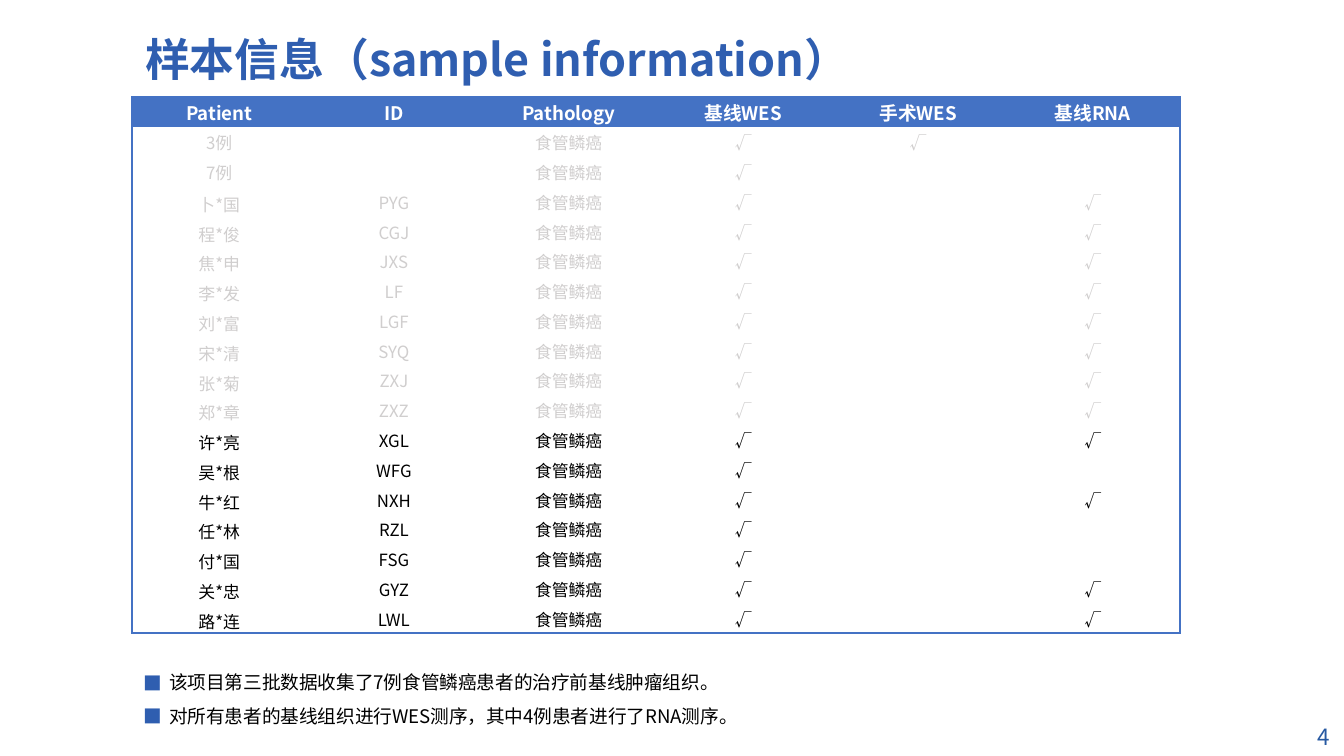
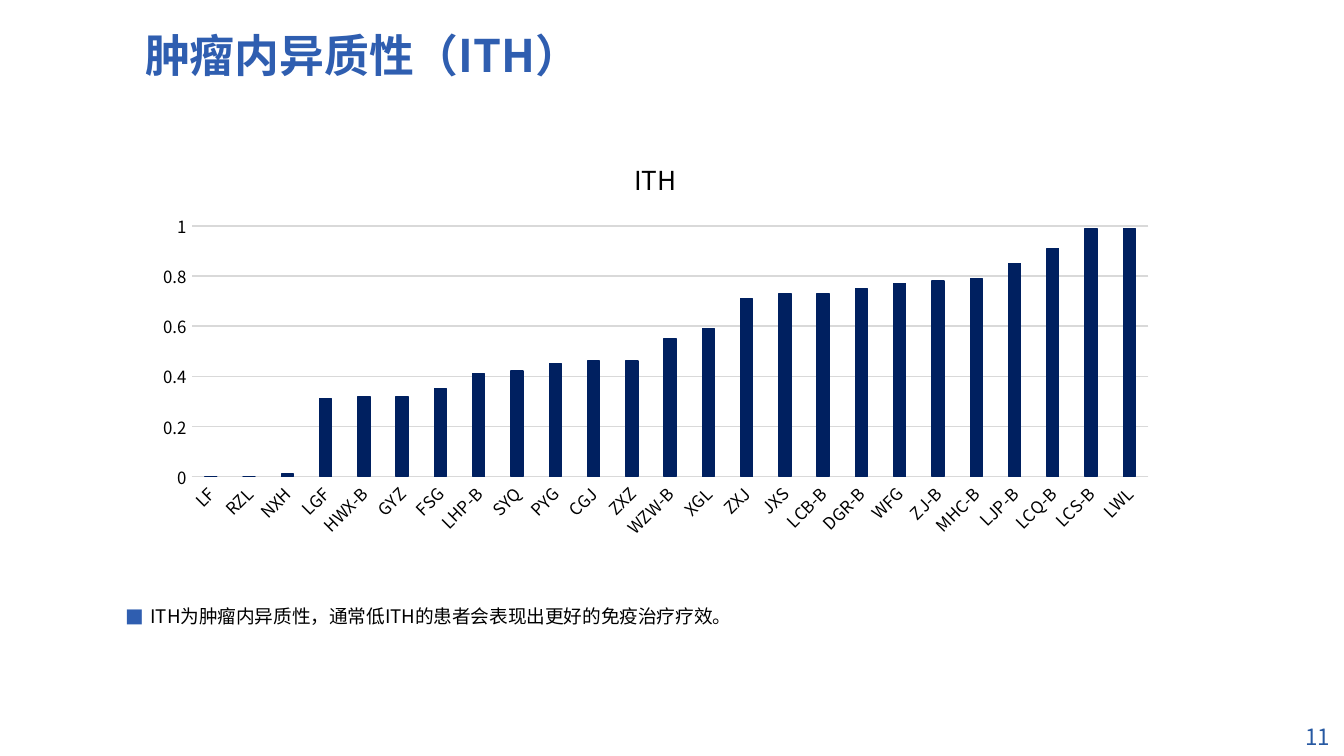
from lxml.etree import SubElement
from pptx import Presentation
from pptx.chart.data import CategoryChartData
from pptx.dml.color import RGBColor
from pptx.enum.chart import XL_CHART_TYPE as CT, XL_TICK_MARK as TM
from pptx.enum.text import MSO_ANCHOR as MA, PP_ALIGN as PA
from pptx.oxml.ns import qn
from pptx.util import Pt

FONT = "Noto Sans CJK SC"
TITLE, NUMBER, HEADER = "2F5EB0", "2759A2", "4472C4"
BLACK, WHITE, FADED = "000000", "FFFFFF", "D0CECE"
GRID, BAR = "D9D9D9", "002060"
NO_STYLE = "{2D5ABB26-0587-4C30-8999-92F81FD0307C}"
rgb = RGBColor.from_string


def style(p, size, color, bold=False):
    for r in p.runs:
        r.font.size, r.font.bold, r.font.name = Pt(size), bold, FONT
        r.font.color.rgb = rgb(color)
        SubElement(r._r.rPr, qn("a:ea"), typeface=FONT)


def add_text(s, box, lines, size, color, bold=False, align=PA.LEFT,
             anchor=MA.MIDDLE, spacing=1.0, bullet=False):
    tf = s.shapes.add_textbox(*map(Pt, box)).text_frame
    tf.word_wrap = True
    tf.vertical_anchor = anchor
    tf.text = "\n".join(lines)
    for p in tf.paragraphs:
        p.alignment, p.line_spacing = align, spacing
        style(p, size, color, bold)
        if bullet:
            pPr = p._p.get_or_add_pPr()
            pPr.set("marL", str(Pt(13.5)))
            pPr.set("indent", str(-Pt(13.5)))
            SubElement(SubElement(pPr, qn("a:buClr")), qn("a:srgbClr"), val=TITLE)
            SubElement(pPr, qn("a:buFont"), typeface=FONT)
            SubElement(pPr, qn("a:buChar"), char="■")


prs = Presentation()
prs.slide_width, prs.slide_height = Pt(720), Pt(405)

# Title, page number and notes of each slide
pages = [
    ("样本信息（sample information）", 12.2, "4", (70, 350, 533, 44),
     ["该项目第三批数据收集了7例食管鳞癌患者的治疗前基线肿瘤组织。",
      "对所有患者的基线组织进行WES测序，其中4例患者进行了RNA测序。"]),
    ("肿瘤内异质性（ITH）", 10, "11", (60, 314.6, 567, 25),
     ["ITH为肿瘤内异质性，通常低ITH的患者会表现出更好的免疫治疗疗效。"]),
]
for title, top, number, note_box, notes in pages:
    s = prs.slides.add_slide(prs.slide_layouts[6])
    add_text(s, (654, 384.5, 65.5, 20), [number], 12, NUMBER, align=PA.RIGHT)
    add_text(s, (70.6, top, 510.5, 42.5), [title], 24, TITLE, bold=True, spacing=0.9)
    add_text(s, note_box, notes, 10, BLACK, anchor=MA.TOP, spacing=1.5, bullet=True)
sample_slide, ith_slide = prs.slides

# Sample table: name, ID, baseline RNA available
patients = [
    ("卜*国", "PYG", 1), ("程*俊", "CGJ", 1), ("焦*申", "JXS", 1), ("李*发", "LF", 1),
    ("刘*富", "LGF", 1), ("宋*清", "SYQ", 1), ("张*菊", "ZXJ", 1), ("郑*章", "ZXZ", 1),
    ("许*亮", "XGL", 1), ("吴*根", "WFG", 0), ("牛*红", "NXH", 1), ("任*林", "RZL", 0),
    ("付*国", "FSG", 0), ("关*忠", "GYZ", 1), ("路*连", "LWL", 1),
]
rows = [
    ["Patient", "ID", "Pathology", "基线WES", "手术WES", "基线RNA"],
    ["3例", "", "食管鳞癌", "√", "√", ""],
    ["7例", "", "食管鳞癌", "√", "", ""],
]
rows += [[name, code, "食管鳞癌", "√", "", "√" if rna else ""]
         for name, code, rna in patients]
first_named, first_new = 3, 11
last_row, last_col = len(rows) - 1, len(rows[0]) - 1

table = sample_slide.shapes.add_table(
    len(rows), len(rows[0]), Pt(70.6), Pt(52), Pt(561.6), Pt(287.28)).table
table.first_row = table.horz_banding = False
table._tbl.tblPr.find(qn("a:tableStyleId")).text = NO_STYLE
for col in table.columns:
    col.width = Pt(93.6)
for i, row in enumerate(rows):
    table.rows[i].height = Pt(15.96)
    for j, text in enumerate(row):
        cell = table.cell(i, j)
        cell.margin_left = cell.margin_right = cell.margin_top = Pt(0.7)
        cell.margin_bottom = 0
        cell.vertical_anchor = MA.BOTTOM if j == 0 and i >= first_named else MA.MIDDLE
        cell.text = text
        p = cell.text_frame.paragraphs[0]
        p.alignment = PA.CENTER
        if i == 0:
            style(p, 10, WHITE, bold=True)
        else:
            style(p, 9, FADED if i < first_new else BLACK)
        if not text:
            SubElement(p._p, qn("a:endParaRPr"), sz="900")
        # Outer frame only
        tcPr = cell._tc.get_or_add_tcPr()
        for side, on_edge in (("L", j == 0), ("R", j == last_col),
                              ("T", i == 0), ("B", i == last_row)):
            if on_edge:
                ln = SubElement(tcPr, qn(f"a:ln{side}"), w=str(Pt(0.9)))
                SubElement(SubElement(ln, qn("a:solidFill")), qn("a:srgbClr"), val=HEADER)
        if i == 0:
            cell.fill.solid()
            cell.fill.fore_color.rgb = rgb(HEADER)
        else:
            cell.fill.background()

# ITH column chart
ith = {
    "LF": 0, "RZL": 0, "NXH": 0.01, "LGF": 0.31, "HWX-B": 0.32, "GYZ": 0.32,
    "FSG": 0.35, "LHP-B": 0.41, "SYQ": 0.42, "PYG": 0.45, "CGJ": 0.46, "ZXZ": 0.46,
    "WZW-B": 0.55, "XGL": 0.59, "ZXJ": 0.71, "JXS": 0.73, "LCB-B": 0.73,
    "DGR-B": 0.75, "WFG": 0.77, "ZJ-B": 0.78, "MHC-B": 0.79, "LJP-B": 0.85,
    "LCQ-B": 0.91, "LCS-B": 0.99, "LWL": 0.99,
}
data = CategoryChartData()
data.categories = list(ith)
data.add_series("ITH", list(ith.values()))
chart = ith_slide.shapes.add_chart(
    CT.COLUMN_CLUSTERED, Pt(76.3), Pt(73.4), Pt(550), Pt(219.6), data).chart
chart.has_legend = False
chart.font.size, chart.font.name = Pt(10), FONT
chart.font.color.rgb = rgb(BLACK)
chart.has_title = True
chart.chart_title.text_frame.text = "ITH"
style(chart.chart_title.text_frame.paragraphs[0], 14, BLACK)
chart.chart_title.include_in_layout = False

plot = chart.plots[0]
plot.gap_width, plot.overlap, plot.vary_by_categories = 219, -27, False
bars = plot.series[0].format
bars.fill.solid()
bars.fill.fore_color.rgb = rgb(BAR)
bars.line.color.rgb = rgb(BAR)
bars.line.width = Pt(0.75)

# Axes
cat_ax, val_ax = chart.category_axis, chart.value_axis
for ax in (cat_ax, val_ax):
    ax.major_tick_mark = ax.minor_tick_mark = TM.NONE
    font = ax.tick_labels.font
    font.size, font.name = Pt(9), FONT
    font.color.rgb = rgb(BLACK)
cat_ax._element.find(qn("c:txPr")).find(qn("a:bodyPr")).set("rot", "-2700000")
val_ax.minimum_scale, val_ax.maximum_scale, val_ax.major_unit = 0, 1, 0.2
val_ax.tick_labels.number_format = "General"
val_ax.tick_labels.number_format_is_linked = False
val_ax.format.line.fill.background()
for line in (cat_ax.format.line, val_ax.major_gridlines.format.line):
    line.color.rgb = rgb(GRID)
    line.width = Pt(0.75)

prs.save("out.pptx")
